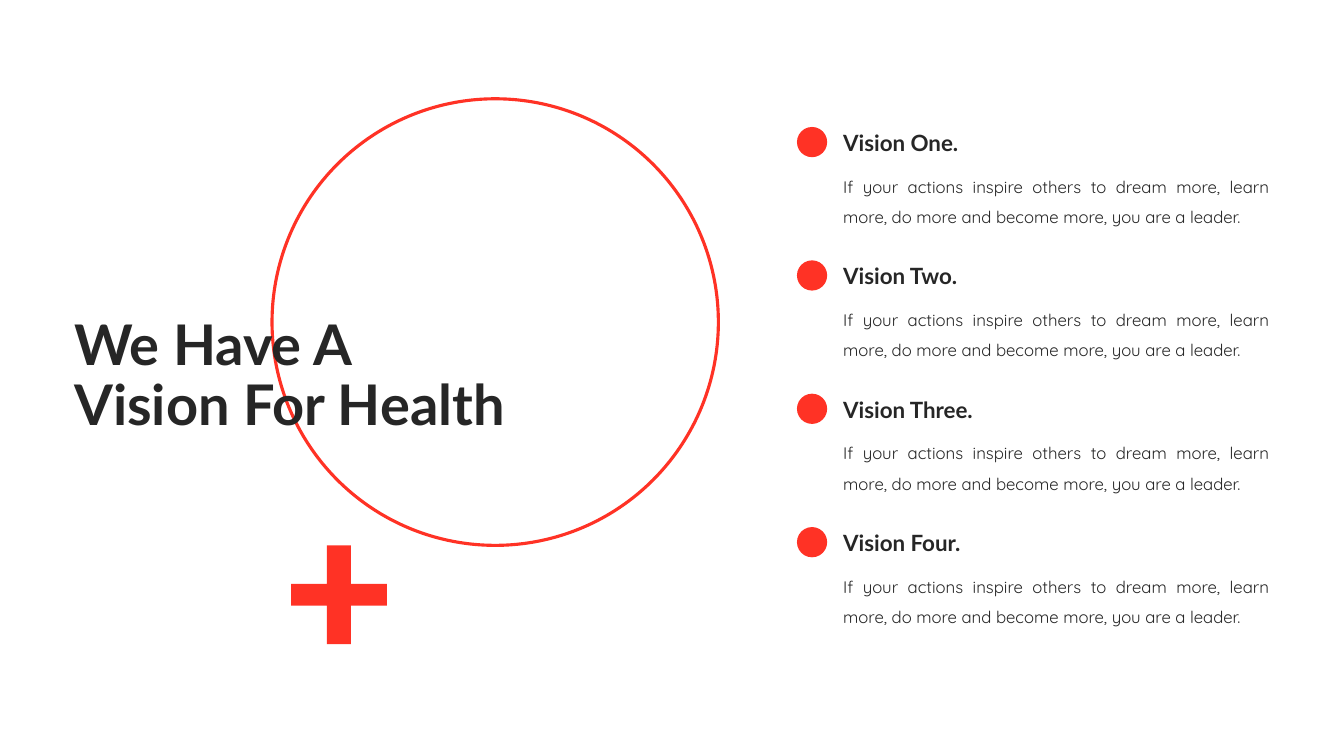
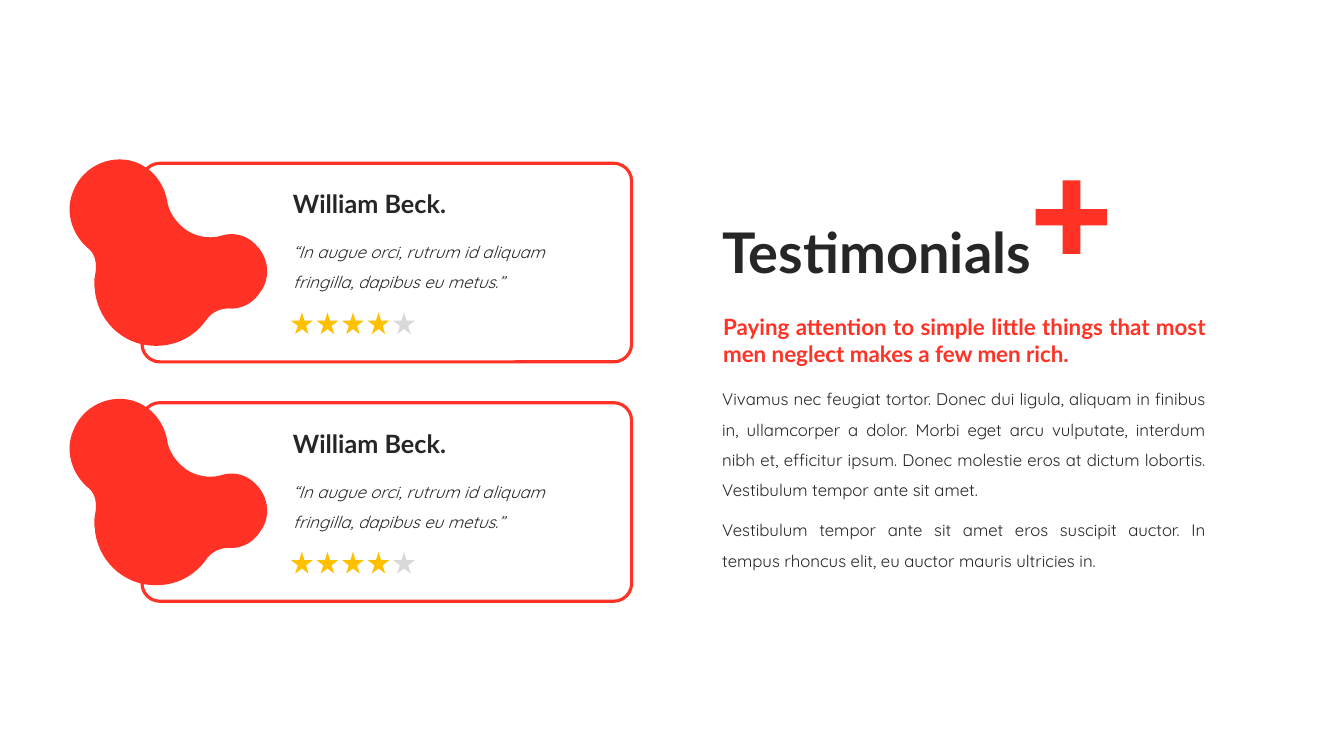
from pptx import Presentation
from pptx import util as u
from pptx.dml.color import RGBColor
from pptx.enum import shapes, text

COLORS = {"red": "FF3225", "ink": "262626", "white": "FFFFFF",
          "gold": "FFC000", "grey": "D9D9D9"}
HEADING, BODY = "Lato", "Quicksand"
OVAL = shapes.MSO_SHAPE.OVAL
LEFT, JUSTIFY = text.PP_ALIGN.LEFT, text.PP_ALIGN.JUSTIFY
TOP, MIDDLE = text.MSO_ANCHOR.TOP, text.MSO_ANCHOR.MIDDLE

deck = Presentation()
deck.slide_width, deck.slide_height = u.Inches(13.34), u.Inches(7.5)
# Grid: 100 columns by 100 rows; every box is (left, top, width, height)
COL, ROW = deck.slide_width / 100, deck.slide_height / 100

# Plus sign, as percentages of its box
PLUS = [(37.5, 0), (62.5, 0), (62.5, 39), (100, 39), (100, 61), (62.5, 61),
        (62.5, 100), (37.5, 100), (37.5, 61), (0, 61), (0, 39), (37.5, 39)]

# Blob: cubic curves (two handles and an end point), flattened to short steps
BLOB_START = (157, 148)
BLOB_CURVES = [
    ((169, 149), (181, 143), (188, 132)), ((199, 118), (197, 97), (183, 84)),
    ((174, 75), (161, 72), (149, 76)), ((138, 79), (126, 77), (116, 71)),
    ((106, 64), (98, 54), (96, 42)), ((93, 24), (81, 8), (62, 2)),
    ((38, -5), (12, 8), (3, 31)), ((-6, 51), (1, 74), (17, 88)),
    ((24, 93), (26, 102), (25, 111)), ((24, 117), (23, 122), (24, 128)),
    ((26, 159), (51, 184), (82, 185)), ((104, 186), (123, 176), (135, 159)),
    ((140, 152), (148, 148), BLOB_START)]
STEPS = 16
BLOB = [BLOB_START]
for handle_a, handle_b, end in BLOB_CURVES:
    start = BLOB[-1]
    for step in range(1, STEPS + 1):
        t = step / STEPS
        BLOB.append(tuple(
            (1 - t) ** 3 * p + 3 * (1 - t) ** 2 * t * a + 3 * (1 - t) * t ** 2 * b + t ** 3 * q
            for p, a, b, q in zip(start, handle_a, handle_b, end)))


def add_figure(slide, outline, box, fill=None, line=None):
    """Draw a preset shape, or a list of points given in percent of the box."""
    left, top, width, height = (int(n * unit) for n, unit in zip(box, (COL, ROW) * 2))
    if isinstance(outline, list):
        points = [(left + width * px / 100, top + height * py / 100) for px, py in outline]
        builder = slide.shapes.build_freeform(*points[0])
        builder.add_line_segments(points[1:], close=True)
        figure = builder.convert_to_shape()
    else:
        figure = slide.shapes.add_shape(outline, left, top, width, height)
    figure.shadow.inherit = False
    if fill:
        figure.fill.solid()
        figure.fill.fore_color.rgb = RGBColor.from_string(COLORS[fill])
    else:
        figure.fill.background()
    if line:
        figure.line.color.rgb = RGBColor.from_string(COLORS[line])
        figure.line.width = u.Pt(2.25)
    else:
        figure.line.fill.background()
    return figure


def add_text(slide, words, box, size, font=BODY, color="ink", align=LEFT,
             anchor=TOP, spacing=1.0, italic=False):
    """Write one paragraph; heading text is bold."""
    frame = slide.shapes.add_textbox(
        *(int(n * unit) for n, unit in zip(box, (COL, ROW) * 2))).text_frame
    frame.word_wrap = True
    frame.vertical_anchor = anchor
    paragraph = frame.paragraphs[0]
    paragraph.text = words
    paragraph.alignment, paragraph.line_spacing = align, spacing
    paragraph.font.name, paragraph.font.size = font, u.Pt(size)
    paragraph.font.bold, paragraph.font.italic = font == HEADING, italic
    paragraph.font.color.rgb = RGBColor.from_string(COLORS[color])


TITLE = dict(size=40, font=HEADING, anchor=MIDDLE, spacing=0.9)
TITLE_SIZE = (38.16, 19.33)
PROSE = dict(size=12, align=JUSTIFY, spacing=1.5)
blank = deck.slide_layouts[6]

# Slide 1: vision
vision = deck.slides.add_slide(blank)
add_figure(vision, OVAL, (17.69, 15.87, 38.31, 68.13), fill="white")
add_figure(vision, OVAL, (20.24, 13.07, 33.21, 59.07), line="red")
add_figure(vision, PLUS, (21.66, 72.13, 7.12, 13.07), fill="red")

for row, number in enumerate(["One", "Two", "Three", "Four"]):
    drop = row * 17.64
    add_text(vision, f"Vision {number}.", (62, 16.4 + drop, 21.36, 4.93), 16,
             font=HEADING, anchor=MIDDLE)
    add_text(vision, "If your actions inspire others to dream more, learn more, "
             "do more and become more, you are a leader.",
             (62, 21.33 + drop, 33.21, 9.33), **PROSE)
    add_figure(vision, OVAL, (59.3, 16.8 + drop, 2.25, 4), fill="red")

add_text(vision, "We Have A\vVision For Health", (4.8, 40.27, *TITLE_SIZE), **TITLE)

# Slide 2: testimonials
testimonials = deck.slides.add_slide(blank)
add_figure(testimonials, PLUS, (77.06, 23.87, 5.32, 9.73), fill="red")
add_text(testimonials, "Testimonials", (53, 24.13, *TITLE_SIZE), **TITLE)
add_text(testimonials, "Paying attention to simple little things that most men "
         "neglect makes a few men rich.", (53.07, 40.8, 37.41, 8.53), 16,
         font=HEADING, color="red", align=JUSTIFY)
add_text(testimonials, "Vivamus nec feugiat tortor. Donec dui ligula, aliquam in "
         "finibus in, ullamcorper a dolor. Morbi eget arcu vulputate, interdum nibh "
         "et, efficitur ipsum. Donec molestie eros at dictum lobortis. Vestibulum "
         "tempor ante sit amet.", (53, 49.47, 37.48, 17.33), **PROSE)
add_text(testimonials, "Vestibulum tempor ante sit amet eros suscipit auctor. In "
         "tempus rhoncus elit, eu auctor mauris ultricies in.",
         (53, 66.8, 37.48, 9.33), **PROSE)

# Review cards, each with four of five stars
for card in range(2):
    drop = card * 31.67
    frame = add_figure(testimonials, shapes.MSO_SHAPE.ROUNDED_RECTANGLE,
                       (10.57, 21.6 + drop, 36.43, 26.27), fill="white", line="red")
    frame.adjustments[0] = 0.09
    add_figure(testimonials, BLOB, (5.25, 21.07 + drop, 7.5, 13.33), fill="red")
    add_text(testimonials, "“In augue orci, rutrum id aliquam fringilla, dapibus eu metus.”",
             (21.06, 30 + drop, 24.89, 9.33), 12, anchor=MIDDLE, spacing=1.5, italic=True)
    add_text(testimonials, "William Beck.", (21.06, 24.27 + drop, 19.64, 5.33), 18,
             font=HEADING, anchor=MIDDLE)
    for star in range(5):
        add_figure(testimonials, shapes.MSO_SHAPE.STAR_5_POINT,
                   (21.66 + star * 1.9, 41.33 + drop, 1.61, 2.87),
                   fill="gold" if star < 4 else "grey")

deck.save("out.pptx")
